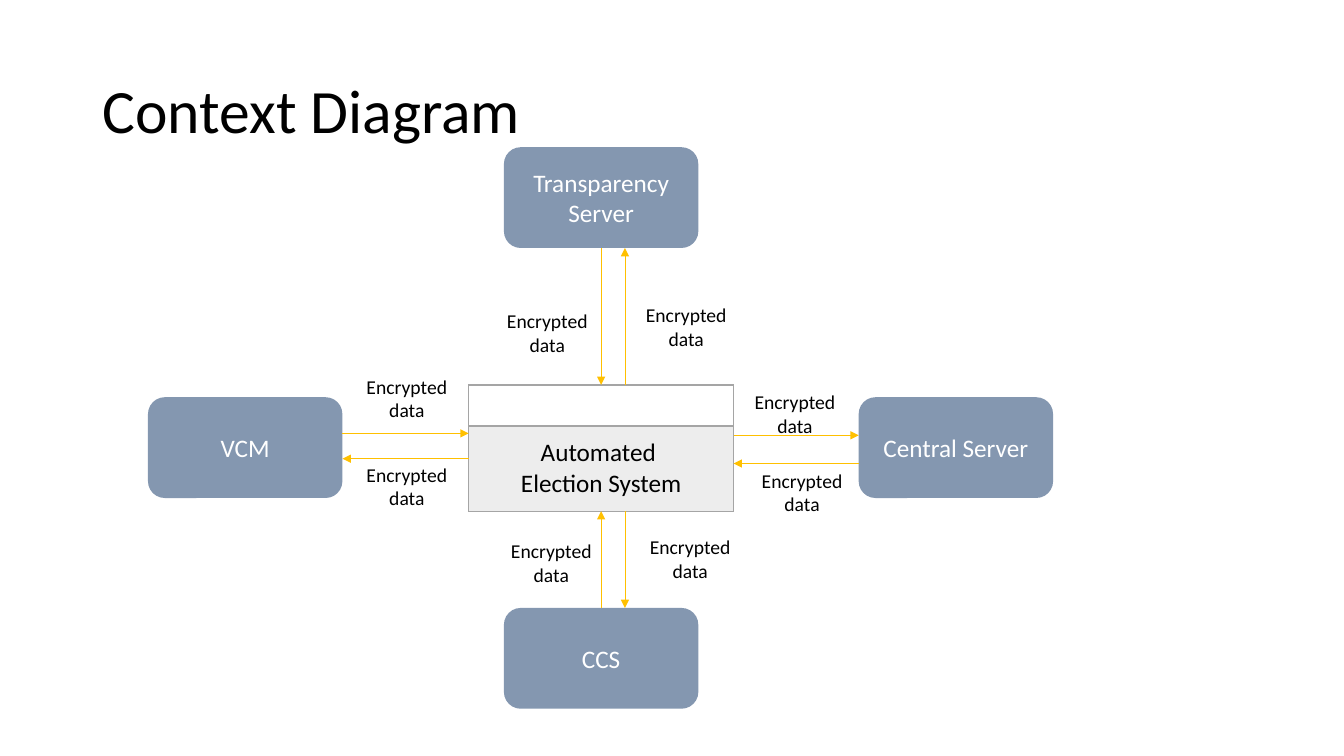
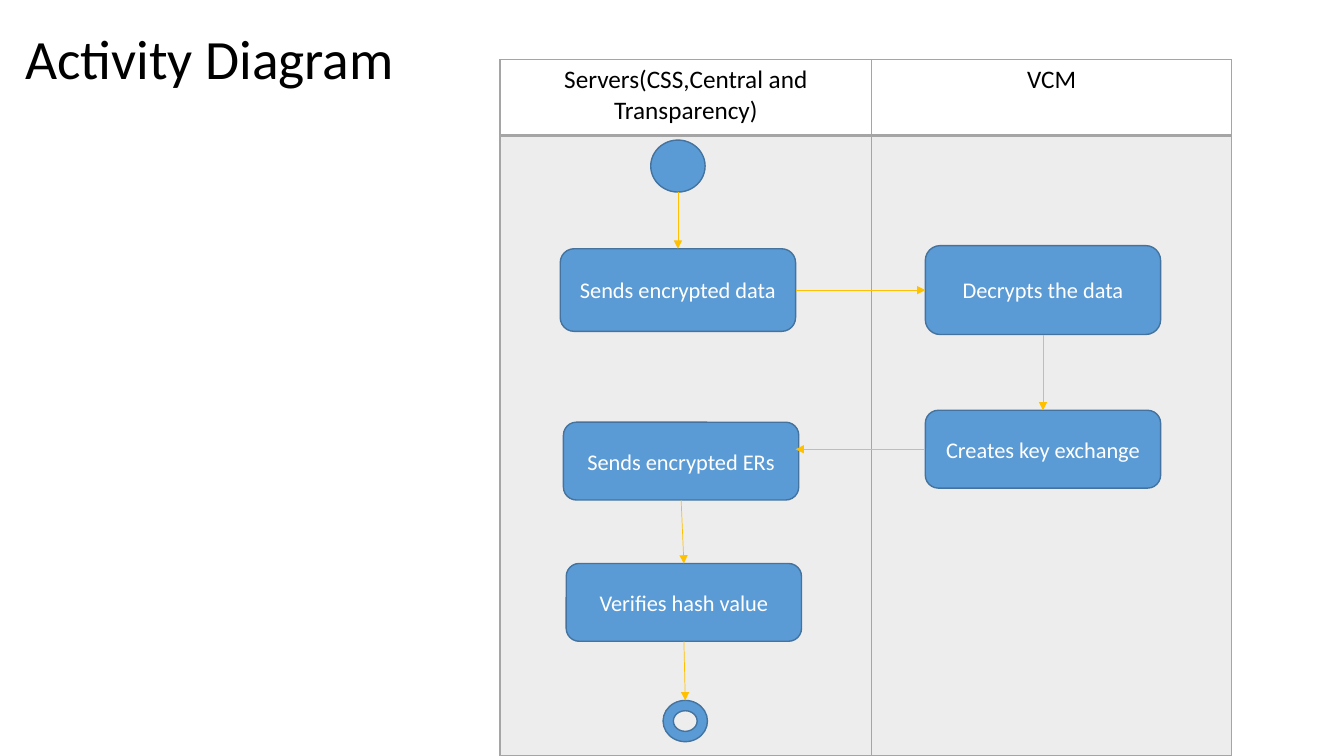
from dataclasses import dataclass

from lxml.etree import SubElement
from pptx import Presentation
from pptx.dml.color import RGBColor
from pptx.enum.shapes import MSO_CONNECTOR as Connector, MSO_SHAPE as Shape
from pptx.enum.text import MSO_ANCHOR as Anchor, MSO_AUTO_SIZE as AutoSize, PP_ALIGN as Align
from pptx.oxml.ns import qn
from pptx.slide import Slide
from pptx.util import Cm, Pt

BLACK = RGBColor(0x00, 0x00, 0x00)
WHITE = RGBColor(0xFF, 0xFF, 0xFF)
SLATE = RGBColor(0x84, 0x97, 0xB0)
BLUE = RGBColor(0x5B, 0x9B, 0xD5)
DARK_BLUE = RGBColor(0x43, 0x73, 0x9E)
GREY = RGBColor(0xA5, 0xA5, 0xA5)
AMBER = RGBColor(0xFF, 0xC0, 0x00)
FONT = "Calibri"


def format_text(frame, size, color=BLACK, align=Align.CENTER):
    for paragraph in frame.paragraphs:
        paragraph.alignment = align
        for font in [paragraph.font] + [run.font for run in paragraph.runs]:
            font.name, font.size, font.bold = FONT, Pt(size), False
            font.color.rgb = color


def add_border(cell, side, width):
    line = SubElement(cell._tc.get_or_add_tcPr(), qn(f"a:ln{side}"), w=str(Pt(width)))
    paint = SubElement(line, qn("a:solidFill"))
    SubElement(paint, qn("a:srgbClr"), val=str(GREY))


def tint(cell, percent):
    cell.fill.solid()
    cell.fill.fore_color.rgb = GREY
    color = cell._tc.tcPr.find(qn("a:solidFill")).find(qn("a:srgbClr"))
    SubElement(color, qn("a:alpha"), val=str(percent * 1000))


def side_middle(shape, site):
    across, down = [(0.5, 0), (0, 0.5), (0.5, 1), (1, 0.5)][site]
    return (int(shape.left + shape.width * across),
            int(shape.top + shape.height * down))


@dataclass
class Region:
    slide: Slide
    left: float
    top: float

    def at(self, x, y):
        return Cm(self.left + x), Cm(self.top + y)

    def node(self, text, x, y, width, height, size, fill, outline=None,
             preset=Shape.ROUNDED_RECTANGLE):
        node = self.slide.shapes.add_shape(preset, *self.at(x, y), Cm(width), Cm(height))
        node.shadow.inherit = False
        node.fill.solid()
        node.fill.fore_color.rgb = fill
        if outline is None:
            node.line.fill.background()
        else:
            node.line.color.rgb = outline
            node.line.width = Pt(1)
        if text:
            node.text_frame.text = text
            node.text_frame.vertical_anchor = Anchor.MIDDLE
            format_text(node.text_frame, size, WHITE)
        return node

    def label(self, text, x, y):
        label = self.slide.shapes.add_textbox(*self.at(x, y), Cm(2.79), Cm(1.45))
        label.text_frame.word_wrap = True
        label.text_frame.text = text
        format_text(label.text_frame, 14)

    def end_point(self, end):
        is_point = isinstance(end[0], (int, float))
        return self.at(*end) if is_point else side_middle(*end)

    def arrow(self, start, end):
        arrow = self.slide.shapes.add_connector(
            Connector.STRAIGHT, *self.end_point(start), *self.end_point(end))
        for joint, connect in ((start, arrow.begin_connect), (end, arrow.end_connect)):
            if not isinstance(joint[0], (int, float)):
                connect(*joint)
        arrow.line.color.rgb = AMBER
        arrow.line.width = Pt(0.5)
        SubElement(arrow.line._get_or_add_ln(), qn("a:tailEnd"), type="triangle")
        SubElement(arrow._element.spPr, qn("a:effectLst"))

    def header_table(self, rows, x, y, widths, heights, body_anchor=Anchor.TOP):
        table = self.slide.shapes.add_table(
            len(rows), len(widths), *self.at(x, y),
            Cm(sum(widths)), Cm(sum(heights))).table
        table.first_row = table.horz_banding = False
        for column, width in zip(table.columns, widths):
            column.width = Cm(width)
        for index, (row, height, texts) in enumerate(zip(table.rows, heights, rows)):
            row.height = Cm(height)
            for cell, text in zip(row.cells, texts):
                cell.text = text
                format_text(cell.text_frame, 18)
                for side in "LRTB":
                    heavy = (index, side) in ((0, "B"), (1, "T"))
                    add_border(cell, side, 2 if heavy else 1)
                if index == 0:
                    cell.fill.background()
                else:
                    cell.vertical_anchor = body_anchor
                    tint(cell, 20)


def add_titled_slide(deck, text, left, top, width, height, size):
    slide = deck.slides.add_slide(deck.slide_layouts[5])
    title = slide.shapes.title
    title.left, title.top, title.width, title.height = map(Cm, (left, top, width, height))
    frame = title.text_frame
    frame.text = text
    frame.word_wrap = True
    frame.auto_size = AutoSize.NONE
    frame.vertical_anchor = Anchor.MIDDLE
    frame.paragraphs[0].line_spacing = 0.9
    format_text(frame, size, align=Align.LEFT)
    return slide


def draw_context(region):
    node_width, node_height = 4.9, 2.54
    system_left, system_top, system_width = 8.08, 5.99, 6.68
    header_height, body_height = 1.02, 2.16
    system_right = system_left + system_width
    system_bottom = system_top + header_height + body_height
    middle_left, middle_top, central_left, ccs_top = 8.97, 6.3, 17.91, 11.61
    middle = middle_left + node_width / 2
    return_lane = middle + 0.6

    region.header_table([[""], ["Automated \nElection System"]], system_left, system_top,
                        [system_width], [header_height, body_height], Anchor.MIDDLE)

    def party(text, x, y):
        return region.node(text, x, y, node_width, node_height, 18, SLATE)

    party("VCM", 0, middle_top)
    transparency = party("Transparency Server", middle_left, 0)
    party("Central Server", central_left, middle_top)
    ccs = party("CCS", middle_left, ccs_top)

    for start, end in (
        ((node_width, 7.21), (system_left, 7.21)),
        ((system_left, 7.85), (node_width, 7.85)),
        ((system_right, 7.26), (central_left, 7.26)),
        ((central_left, 7.97), (system_right, 7.97)),
        ((transparency, 2), (middle, system_top)),
        ((return_lane, system_top), (return_lane, node_height)),
        ((ccs, 0), (middle, system_bottom)),
        ((return_lane, system_bottom), (return_lane, ccs_top)),
    ):
        region.arrow(start, end)

    for x, y in ((8.67, 3.96), (12.17, 3.81), (5.13, 7.82), (5.13, 5.61),
                 (14.91, 5.99), (15.09, 7.97), (12.27, 9.65), (8.77, 9.75)):
        region.label("Encrypted data", x, y)


def draw_activity(region):
    region.header_table([["Servers(CSS,Central and Transparency)", "VCM"], ["", ""]],
                        0, 0, [9.37, 9.07], [1.91, 15.64])

    def step(text, x, y, height=1.96):
        return region.node(text, x, y, 5.93, height, 16, BLUE, DARK_BLUE)

    def marker(preset, x, y, width, height):
        return region.node("", x, y, width, height, 16, BLUE, DARK_BLUE, preset)

    sends_data = step("Sends encrypted data", 1.52, 4.77, 2.08)
    decrypts = step("Decrypts the data", 10.72, 4.69, 2.24)
    creates_key = step("Creates key exchange", 10.72, 8.84)
    sends_ers = step("Sends encrypted ERs", 1.6, 9.14)
    verifies = step("Verifies hash value", 1.67, 12.7)
    marker(Shape.OVAL, 3.8, 2.03, 1.37, 1.31)
    finish = marker(Shape.DONUT, 4.11, 16.15, 1.12, 1.04)

    for start, end in (
        ((4.485, 3.34), (sends_data, 0)),
        ((sends_data, 3), (decrypts, 1)),
        ((decrypts, 2), (creates_key, 0)),
        ((creates_key, 1), (7.45, 9.82)),
        ((sends_ers, 2), (verifies, 0)),
        ((verifies, 2), (finish, 0)),
    ):
        region.arrow(start, end)


def main():
    deck = Presentation()
    deck.slide_width, deck.slide_height = Cm(33.87), Cm(19.05)
    context = add_titled_slide(deck, "Context Diagram", 2.33, 1.01, 29.21, 3.68, 44)
    draw_context(Region(context, 3.73, 3.71))
    activity = add_titled_slide(deck, "Activity Diagram", 0.38, 0.38, 10.21, 2.36, 39.6)
    draw_activity(Region(activity, 12.6, 1.5))
    deck.save("out.pptx")


if __name__ == "__main__":
    main()
